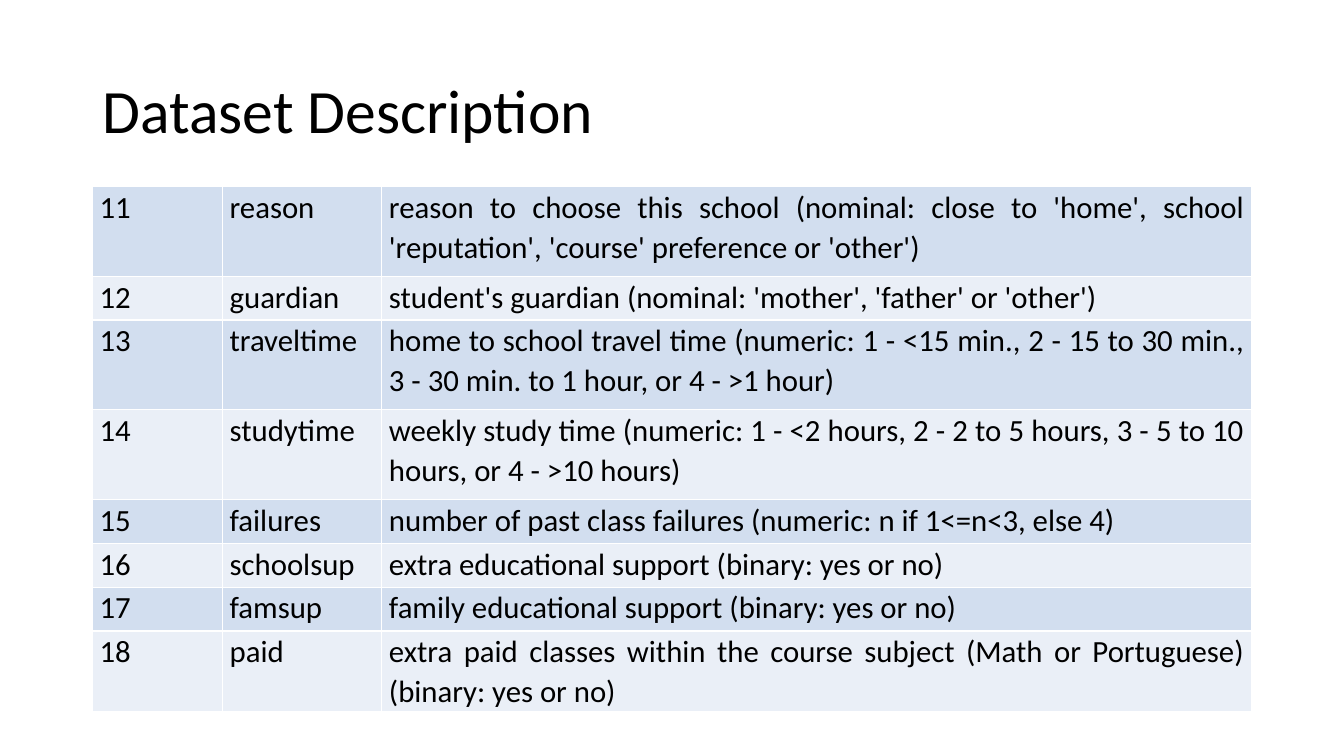
import dataclasses
import typing

import lxml.etree
import pptx
import pptx.dml.color
import pptx.enum.text
import pptx.oxml.ns
import pptx.util

Pt = pptx.util.Pt
ALIGN = pptx.enum.text.PP_ALIGN
ANCHOR = pptx.enum.text.MSO_ANCHOR

COLORS = {"text": "000000", "odd": "D2DEEF", "even": "EAEFF7", "border": "FFFFFF"}
LEFT, WIDTH = 66, 828
COLUMN_WIDTHS = (92.9, 113.8, 621.3)
ROW_HEIGHTS = {1: 31.3, 2: 64.1}

TITLE_BOX = {"left": Pt(LEFT), "top": Pt(28.8), "width": Pt(WIDTH), "height": Pt(104.4)}
TITLE_FRAME = {"vertical_anchor": ANCHOR.MIDDLE, "word_wrap": True}
TITLE_PARAGRAPH = {"alignment": ALIGN.LEFT, "line_spacing": 0.9}
TITLE_FONT = {"name": "Calibri", "size": Pt(44)}
CELL_FORMAT = {"margin_left": Pt(5.2), "margin_right": Pt(5.2),
               "margin_top": 0, "margin_bottom": 0, "vertical_anchor": ANCHOR.TOP}
CELL_PARAGRAPH = {"alignment": ALIGN.JUSTIFY, "line_spacing": 1.07}
CELL_FONT = {"name": "Calibri", "size": Pt(22), "bold": False}


@dataclasses.dataclass(frozen=True)
class Attribute:
    number: int
    name: str
    description: str
    lines: int = 1


ATTRIBUTES = (
    Attribute(11, "reason", "reason to choose this school (nominal: close to 'home', "
              "school 'reputation', 'course' preference or 'other')", 2),
    Attribute(12, "guardian", "student's guardian (nominal: 'mother', 'father' or 'other')"),
    Attribute(13, "traveltime", "home to school travel time (numeric: 1 - <15 min., "
              "2 - 15 to 30 min., 3 - 30 min. to 1 hour, or 4 - >1 hour)", 2),
    Attribute(14, "studytime", "weekly study time (numeric: 1 - <2 hours, "
              "2 - 2 to 5 hours, 3 - 5 to 10 hours, or 4 - >10 hours)", 2),
    Attribute(15, "failures", "number of past class failures (numeric: n if 1<=n<3, else 4)"),
    Attribute(16, "schoolsup", "extra educational support (binary: yes or no)"),
    Attribute(17, "famsup", "family educational support (binary: yes or no)"),
    Attribute(18, "paid", "extra paid classes within the course subject "
              "(Math or Portuguese) (binary: yes or no)"),
)


def apply(target: typing.Any, values: dict[str, typing.Any]) -> None:
    for name, value in values.items():
        setattr(target, name, value)


def rgb(key: str) -> pptx.dml.color.RGBColor:
    return pptx.dml.color.RGBColor.from_string(COLORS[key])


def write(p: typing.Any, text: str, paragraph: dict, font: dict) -> None:
    apply(p, paragraph)
    r = p.add_run()
    r.text = text
    apply(r.font, font)
    r.font.color.rgb = rgb("text")


def add_borders(cell: typing.Any) -> None:
    qn = pptx.oxml.ns.qn
    tc_pr = cell._tc.get_or_add_tcPr()
    for i, side in enumerate(("lnL", "lnR", "lnT", "lnB")):
        ln = lxml.etree.Element(qn(f"a:{side}"), w=str(Pt(1)))
        fill = lxml.etree.SubElement(ln, qn("a:solidFill"))
        lxml.etree.SubElement(fill, qn("a:srgbClr"), val=COLORS["border"])
        tc_pr.insert(i, ln)


def add_title(slide: typing.Any, text: str) -> None:
    sp = slide.shapes.title
    apply(sp, TITLE_BOX)
    tf = sp.text_frame
    apply(tf, TITLE_FRAME)
    write(tf.paragraphs[0], text, TITLE_PARAGRAPH, TITLE_FONT)


def add_attribute_table(slide: typing.Any, attributes: tuple[Attribute, ...]) -> None:
    heights = [ROW_HEIGHTS[a.lines] for a in attributes]
    table = slide.shapes.add_table(len(attributes), len(COLUMN_WIDTHS), Pt(LEFT), Pt(133.2),
                                   Pt(WIDTH), Pt(sum(heights))).table
    table.first_row = False
    for column, width in zip(table.columns, COLUMN_WIDTHS):
        column.width = Pt(width)
    for row, height, a in zip(table.rows, heights, attributes):
        row.height = Pt(height)
        for cell, text in zip(row.cells, (str(a.number), a.name, a.description)):
            apply(cell, CELL_FORMAT)
            cell.fill.solid()
            cell.fill.fore_color.rgb = rgb("odd" if a.number % 2 else "even")
            add_borders(cell)
            write(cell.text_frame.paragraphs[0], text, CELL_PARAGRAPH, CELL_FONT)


def main() -> None:
    prs = pptx.Presentation()
    apply(prs, {"slide_width": Pt(960), "slide_height": Pt(540)})
    # Title Only layout
    slide = prs.slides.add_slide(prs.slide_layouts[5])
    # Heading
    add_title(slide, "Dataset Description")
    # Attributes 11 to 18
    add_attribute_table(slide, ATTRIBUTES)
    prs.save("out.pptx")


if __name__ == "__main__":
    main()
